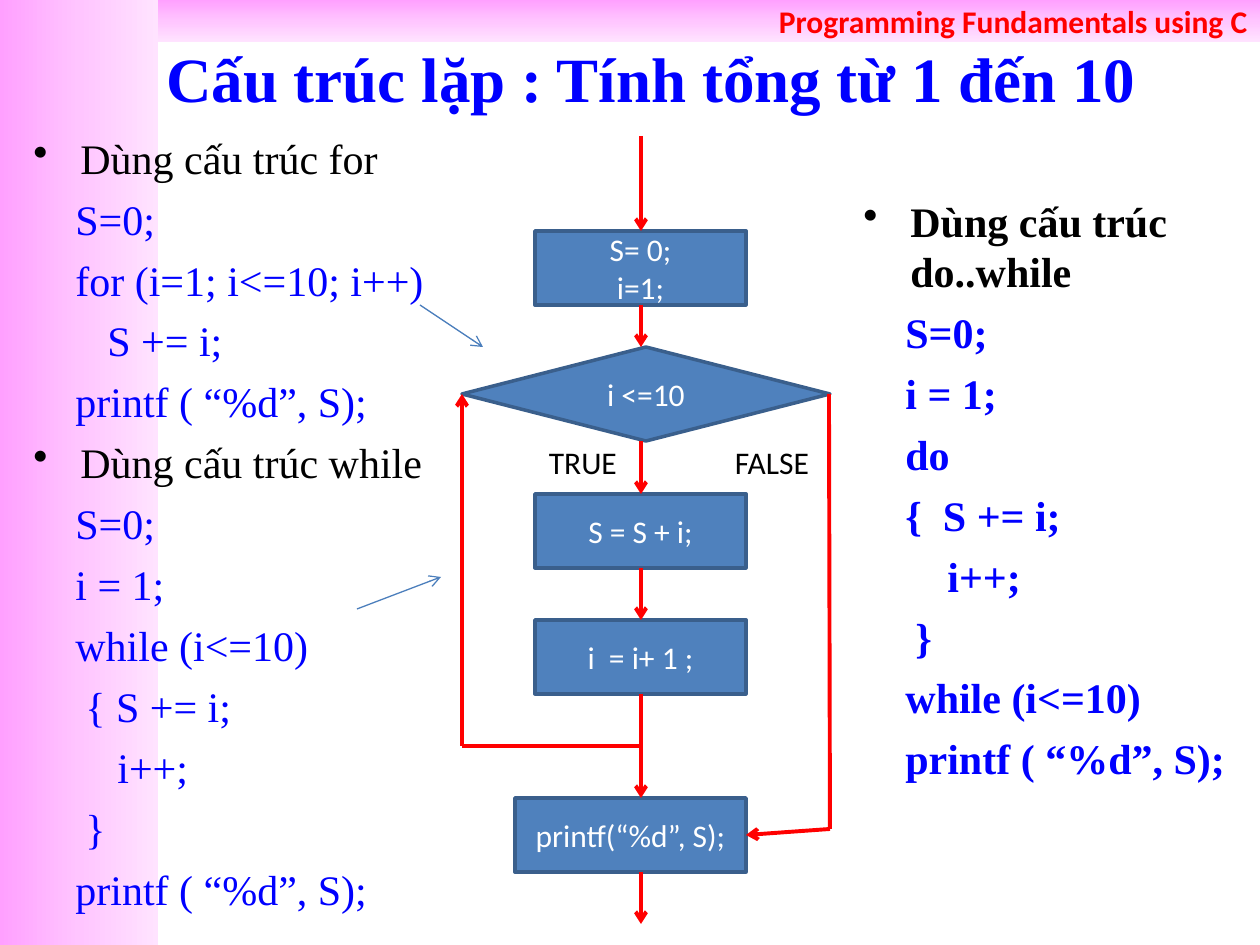
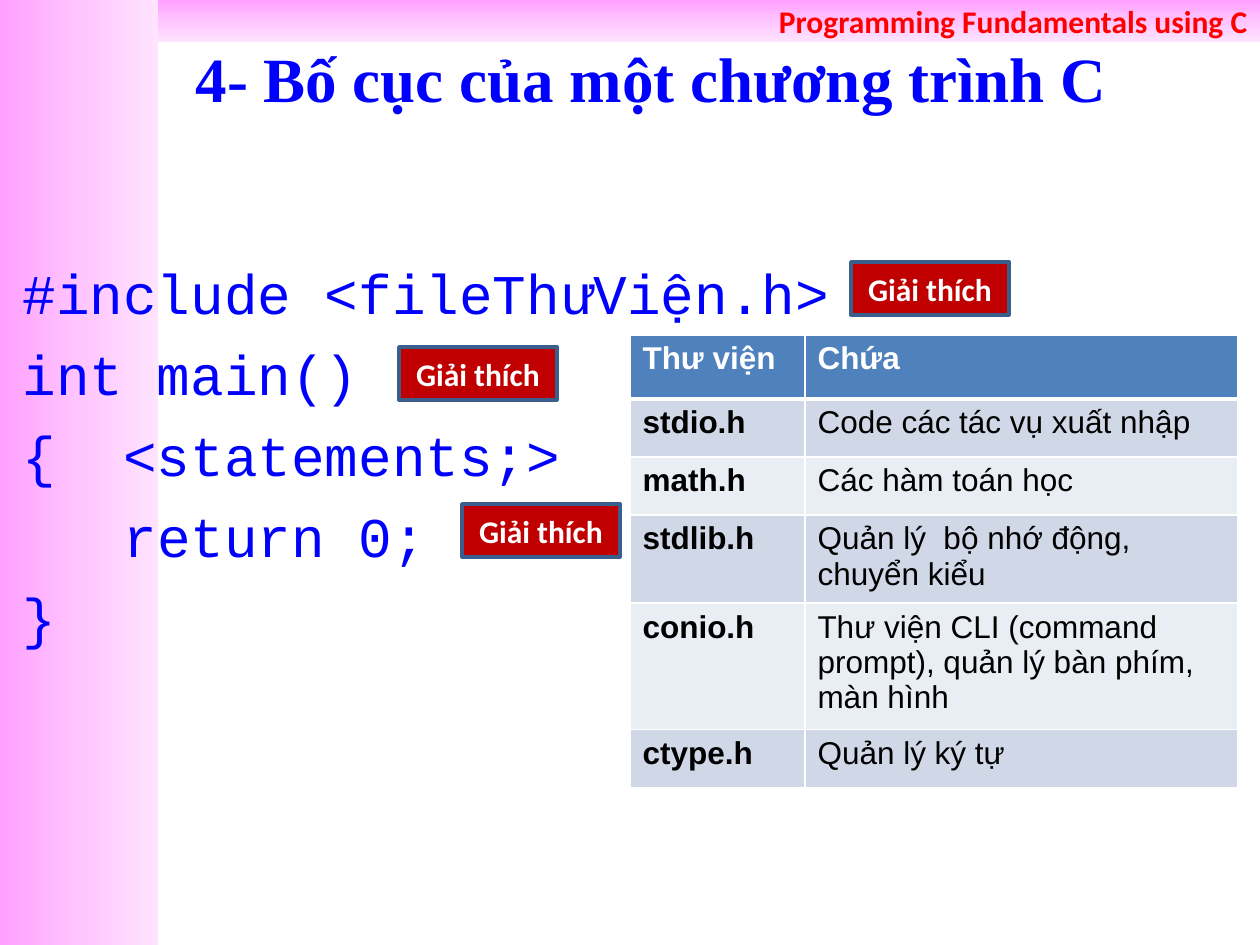
from copy import deepcopy
from dataclasses import dataclass

from lxml import etree
from pptx import Presentation
from pptx.dml.color import RGBColor
from pptx.enum.shapes import MSO_CONNECTOR, MSO_SHAPE
from pptx.enum.text import MSO_ANCHOR, MSO_AUTO_SIZE, PP_ALIGN
from pptx.oxml.ns import qn
from pptx.util import Emu, Pt

RECTANGLE, DIAMOND = MSO_SHAPE.RECTANGLE, MSO_SHAPE.DIAMOND
STRAIGHT = MSO_CONNECTOR.STRAIGHT
LEFT, CENTER, RIGHT = PP_ALIGN.LEFT, PP_ALIGN.CENTER, PP_ALIGN.RIGHT
MIDDLE, TOP = MSO_ANCHOR.MIDDLE, MSO_ANCHOR.TOP
NO_AUTOFIT = MSO_AUTO_SIZE.NONE


@dataclass(frozen=True)
class Theme:
    serif: str = "Times New Roman"
    sans: str = "Calibri"
    mono: str = "Courier New"
    table_font: str = "Arial"
    title_size: int = 36
    code_size: int = 32
    body_size: int = 24
    label_size: int = 18
    blue: str = "0000FF"
    red: str = "FF0000"
    black: str = "000000"
    white: str = "FFFFFF"
    box: str = "4F81BD"
    box_line: str = "3A5F8C"
    pointer: str = "4B7EBC"
    button: str = "C00000"
    band_stops: tuple = ("FFA0FF", "FFC5FF", "FFE3FF")
    table_rows: tuple = ("D0D8E8", "E9EDF4")


THEME = Theme()
EMU_PER_PX = 914400 / 126
SLIDE_SIZE = (1260, 945)
TITLE_BOX = (105, 38, 1092, 78)
HANGING = 47
HEADER = "Programming Fundamentals using C"
# (area, gradient angle, text)
BANDS = [((0, 0, 158, 945), 0, ""), ((158, 0, 1102, 42), 270, HEADER)]

LOOP_TITLE = "Cấu trúc lặp : Tính tổng từ 1 đến 10"
# (left indent, text); an indent of None marks a bulleted heading
FOR_AND_WHILE = [
    (None, "Dùng cấu trúc for"),
    (42, "S=0;"),
    (42, "for (i=1; i<=10; i++)"),
    (74, "S += i;"),
    (42, "printf ( “%d”, S);"),
    (None, "Dùng cấu trúc while"),
    (42, "S=0;"),
    (42, "i = 1;"),
    (42, "while (i<=10)"),
    (52, "{ S += i;"),
    (84, "i++;"),
    (52, "}"),
    (42, "printf ( “%d”, S);"),
]
DO_WHILE = [
    (None, "Dùng cấu trúc do..while"),
    (42, "S=0;"),
    (42, "i = 1;"),
    (42, "do"),
    (42, "{  S += i;"),
    (84, "i++;"),
    (52, "}"),
    (42, "while (i<=10)"),
    (42, "printf ( “%d”, S);"),
]
FLOW_STEPS = [
    ("S= 0;\ni=1;", RECTANGLE, (535, 231, 211, 74)),
    ("i <=10", DIAMOND, (462, 347, 368, 94)),
    ("S = S + i;", RECTANGLE, (535, 494, 211, 74)),
    ("i  = i+ 1 ;", RECTANGLE, (535, 620, 211, 74)),
    ("printf(“%d”, S);", RECTANGLE, (515, 798, 231, 74)),
]
FLOW_X, FLOW_START, FLOW_END = 641, 136, 924
# (from, to, has arrowhead)
BRANCHES = [
    ((829, 394), (830, 829), False),
    ((830, 829), (746, 835), True),
    ((641, 746), (462, 746), False),
    ((462, 746), (462, 394), True),
]
BRANCH_LABELS = [("TRUE", (525, 441, 116, 42)), ("FALSE", (714, 441, 116, 42))]
POINTERS = [((420, 305), (483, 347)), ((357, 609), (441, 577))]

LAYOUT_TITLE = "4- Bố cục của một chương trình C"
PROGRAM = [
    (0, "#include <fileThưViện.h>"),
    (0, "int main()"),
    (0, "{  <statements;>"),
    (101, "return 0;"),
    (0, "}"),
]
BUTTON_TEXT = "Giải thích"
BUTTON_SIZE = (158, 53)
BUTTON_CORNERS = [(851, 262), (399, 347), (462, 504)]
LIBRARIES = [
    ("Thư viện", "Chứa"),
    ("stdio.h", "Code các tác vụ xuất nhập"),
    ("math.h", "Các hàm toán học"),
    ("stdlib.h", "Quản lý  bộ nhớ động, chuyển kiểu"),
    ("conio.h", "Thư viện CLI (command prompt), quản lý bàn phím, màn hình"),
    ("ctype.h", "Quản lý ký tự"),
]
TABLE_CORNER = (630, 335)
COLUMN_WIDTHS = (175, 433)
ROW_HEIGHTS = (64, 58, 58, 58, 100, 58)


def px(value):
    return Emu(round(value * EMU_PER_PX))


def place(area):
    return [px(value) for value in area]


def rgb(code):
    return RGBColor.from_string(code)


def style(paragraph, font_name, size, color, bold=False, align=LEFT):
    paragraph.alignment = align
    font = paragraph.font
    font.name, font.size, font.bold = font_name, Pt(size), bold
    font.color.rgb = rgb(color)


def fill_text(frame, text, font_name, size, color, bold=False,
              align=CENTER, anchor=MIDDLE):
    frame.text = text
    frame.word_wrap = True
    frame.vertical_anchor = anchor
    for paragraph in frame.paragraphs:
        style(paragraph, font_name, size, color, bold, align)


def add_box(slide, kind, area, text, fill, bold=False):
    shape = slide.shapes.add_shape(kind, *place(area))
    shape.shadow.inherit = False
    shape.fill.solid()
    shape.fill.fore_color.rgb = rgb(fill)
    shape.line.color.rgb = rgb(THEME.box_line)
    shape.line.width = Pt(2)
    fill_text(shape.text_frame, text, THEME.sans, THEME.label_size, THEME.white, bold)


def add_line(slide, start, end, color, width, arrow=True):
    line = slide.shapes.add_connector(STRAIGHT, *place(start + end))
    line.line.color.rgb = rgb(color)
    line.line.width = Pt(width)
    properties = line.element.spPr
    if arrow:
        etree.SubElement(properties.find(qn("a:ln")), qn("a:tailEnd"), type="arrow")
    etree.SubElement(properties, qn("a:effectLst"))


def add_listing(slide, area, lines, font_name, size, space, bold=False):
    """Code lines in blue, with bulleted headings in black."""
    frame = slide.shapes.add_textbox(*place(area)).text_frame
    frame.word_wrap = True
    frame.text = "\n".join(text for _, text in lines)
    for paragraph, (indent, _) in zip(frame.paragraphs, lines):
        paragraph.space_before = Pt(space)
        is_heading = indent is None
        properties = paragraph._p.get_or_add_pPr()
        properties.set("marL", str(px(HANGING if is_heading else indent)))
        properties.set("indent", str(px(-HANGING if is_heading else 0)))
        if is_heading:
            etree.SubElement(properties, qn("a:buChar"), char="•")
        color = THEME.black if is_heading else THEME.blue
        style(paragraph, font_name, size, color, bold)


def add_master_bands(presentation, slide):
    """Draw the bands, then move them behind everything on the slide master."""
    master_tree = presentation.slide_master.shapes.element
    for number, (area, angle, text) in enumerate(BANDS):
        band = slide.shapes.add_shape(RECTANGLE, *place(area))
        band.shadow.inherit = False
        band.line.fill.background()
        band.fill.gradient()
        band.fill.gradient_angle = angle
        first, middle, last = THEME.band_stops
        stops = band.fill.gradient_stops
        stops[0].color.rgb, stops[1].color.rgb = rgb(first), rgb(last)
        stop_list = band.element.spPr.find(".//" + qn("a:gsLst"))
        stop_list.insert(1, deepcopy(stop_list[0]))
        middle_stop = band.fill.gradient_stops[1]
        middle_stop.position, middle_stop.color.rgb = 0.5, rgb(middle)
        if text:
            fill_text(band.text_frame, text, THEME.sans, THEME.label_size,
                      THEME.red, True, RIGHT)
        band.element.nvSpPr.cNvPr.set("id", str(20 + number))
        master_tree.insert(2 + number, band.element)


def add_titled_slide(presentation, text):
    slide = presentation.slides.add_slide(presentation.slide_layouts[5])
    title = slide.shapes.title
    title.left, title.top, title.width, title.height = place(TITLE_BOX)
    fill_text(title.text_frame, text, THEME.serif, THEME.title_size, THEME.blue, True)
    title.text_frame.auto_size = NO_AUTOFIT
    return slide


def add_flowchart(slide):
    for text, kind, area in FLOW_STEPS:
        add_box(slide, kind, area, text, THEME.box)
    tops = [area[1] for _, _, area in FLOW_STEPS]
    bottoms = [area[1] + area[3] for _, _, area in FLOW_STEPS]
    for start, end in zip([FLOW_START] + bottoms, tops + [FLOW_END]):
        add_line(slide, (FLOW_X, start), (FLOW_X, end), THEME.red, 2.25)
    for start, end, arrow in BRANCHES:
        add_line(slide, start, end, THEME.red, 2.25, arrow)
    for text, area in BRANCH_LABELS:
        label = slide.shapes.add_textbox(*place(area))
        fill_text(label.text_frame, text, THEME.sans, THEME.label_size, THEME.black)


def set_borders(cell, bottom_width):
    properties = cell._tc.get_or_add_tcPr()
    for side, width in (("L", 1), ("R", 1), ("T", 1), ("B", bottom_width)):
        line = etree.SubElement(properties, qn("a:ln" + side), w=str(Pt(width)))
        fill = etree.SubElement(line, qn("a:solidFill"))
        etree.SubElement(fill, qn("a:srgbClr"), val=THEME.white)


def add_library_table(slide):
    area = TABLE_CORNER + (sum(COLUMN_WIDTHS), sum(ROW_HEIGHTS))
    table = slide.shapes.add_table(len(LIBRARIES), 2, *place(area)).table
    for column, width in zip(table.columns, COLUMN_WIDTHS):
        column.width = px(width)
    for row_number, values in enumerate(LIBRARIES):
        table.rows[row_number].height = px(ROW_HEIGHTS[row_number])
        is_header = row_number == 0
        fill = THEME.box if is_header else THEME.table_rows[(row_number - 1) % 2]
        color = THEME.white if is_header else THEME.black
        for column_number, text in enumerate(values):
            cell = table.cell(row_number, column_number)
            cell.text = text
            cell.vertical_anchor = TOP
            style(cell.text_frame.paragraphs[0], THEME.table_font, THEME.label_size,
                  color, is_header or column_number == 0)
            set_borders(cell, 3 if is_header else 1)
            cell.fill.solid()
            cell.fill.fore_color.rgb = rgb(fill)


def main():
    presentation = Presentation()
    presentation.slide_width, presentation.slide_height = place(SLIDE_SIZE)

    loops = add_titled_slide(presentation, LOOP_TITLE)
    add_master_bands(presentation, loops)
    add_listing(loops, (21, 126, 462, 819), FOR_AND_WHILE, THEME.serif,
                THEME.body_size, 6)
    add_flowchart(loops)
    add_listing(loops, (851, 189, 399, 640), DO_WHILE, THEME.serif,
                THEME.body_size, 6, bold=True)
    for start, end in POINTERS:
        add_line(loops, start, end, THEME.pointer, 0.75)

    structure = add_titled_slide(presentation, LAYOUT_TITLE)
    add_listing(structure, (10, 252, 861, 451), PROGRAM, THEME.mono,
                THEME.code_size, 8)
    for corner in BUTTON_CORNERS:
        add_box(structure, RECTANGLE, corner + BUTTON_SIZE, BUTTON_TEXT,
                THEME.button, bold=True)
    add_library_table(structure)

    presentation.save("out.pptx")


if __name__ == "__main__":
    main()
